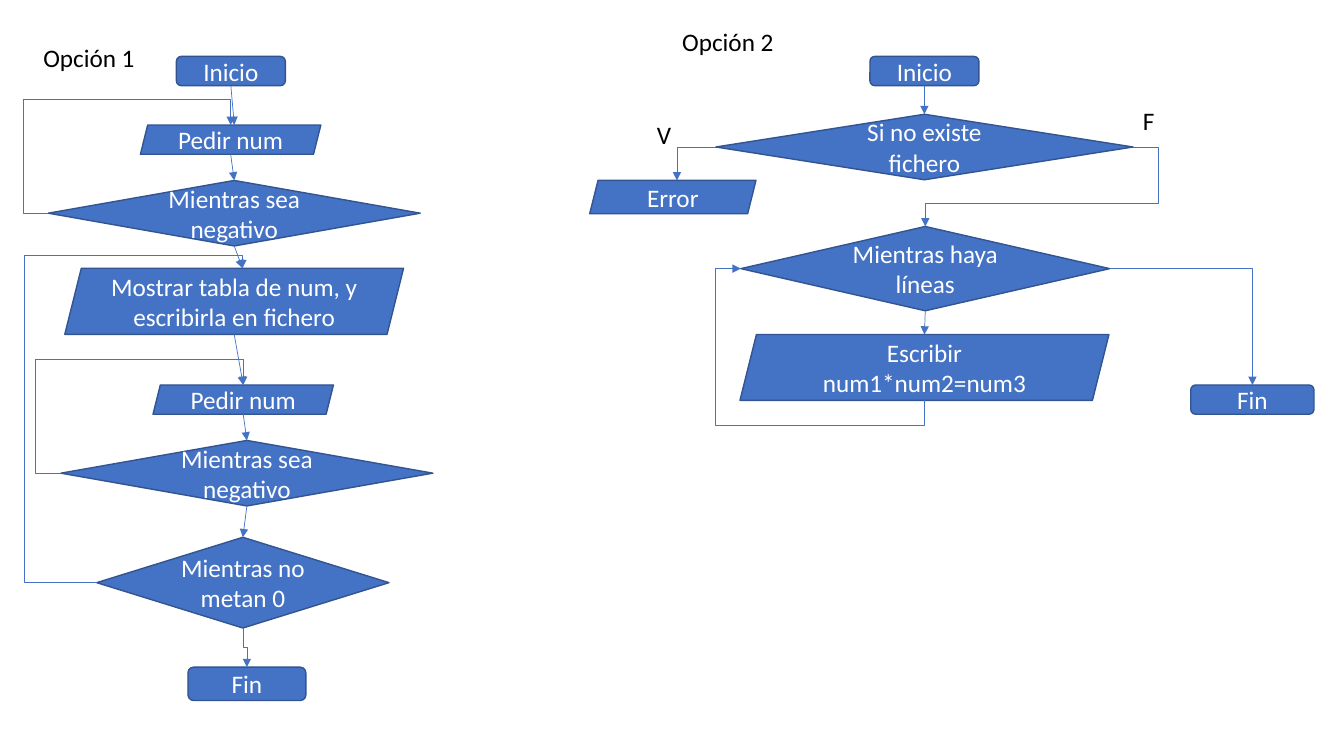
from dataclasses import dataclass

from lxml import etree
from pptx import Presentation
from pptx import util as u
from pptx.dml.color import RGBColor
from pptx.enum import shapes, text
from pptx.oxml import ns

TOP, LEFT, BOTTOM, RIGHT = range(4)
TERMINAL = shapes.MSO_SHAPE.ROUNDED_RECTANGLE
DATA = shapes.MSO_SHAPE.PARALLELOGRAM
DECISION = shapes.MSO_SHAPE.DIAMOND
LOOP_GAP = u.Pt(18)


@dataclass(frozen=True)
class Theme:
    """Colours and type sizes of the slide."""
    fill: RGBColor = RGBColor(0x44, 0x72, 0xC4)
    edge: RGBColor = RGBColor(0x32, 0x54, 0x91)
    light: RGBColor = RGBColor(0xFF, 0xFF, 0xFF)
    dark: RGBColor = RGBColor(0, 0, 0)
    font: str = "Calibri"
    size: int = 18


THEME = Theme()


def write(frame, words, color, align):
    """Put one formatted paragraph in a text frame."""
    para = frame.paragraphs[0]
    para.text = words
    para.alignment = align
    para.font.name = THEME.font
    para.font.size = u.Pt(THEME.size)
    para.font.color.rgb = color


def add_node(slide, box, kind, words, left, top, width, height):
    """Draw a flowchart step placed relative to its region."""
    node = slide.shapes.add_shape(
        kind, u.Pt(box[0] + left), u.Pt(box[1] + top), u.Pt(width), u.Pt(height))
    node.shadow.inherit = False
    node.fill.solid()
    node.fill.fore_color.rgb = THEME.fill
    node.line.color.rgb = THEME.edge
    node.line.width = u.Pt(1)
    node.text_frame.word_wrap = True
    node.text_frame.vertical_anchor = text.MSO_ANCHOR.MIDDLE
    write(node.text_frame, words, THEME.light, text.PP_ALIGN.CENTER)
    return node


def add_label(slide, box, words, left, top, width):
    """Draw a free label placed relative to its region."""
    label = slide.shapes.add_textbox(
        u.Pt(box[0] + left), u.Pt(box[1] + top), u.Pt(width), u.Pt(29))
    label.text_frame.word_wrap = False
    label.text_frame.auto_size = text.MSO_AUTO_SIZE.SHAPE_TO_FIT_TEXT
    write(label.text_frame, words, THEME.dark, text.PP_ALIGN.LEFT)


def side_point(node, side):
    """Return the middle of one side of a step."""
    across = {LEFT: 0, RIGHT: node.width}.get(side, node.width // 2)
    down = {TOP: 0, BOTTOM: node.height}.get(side, node.height // 2)
    return node.left + across, node.top + down


def bend(connector, start, end, upright, lanes):
    """Route an elbow through lanes, turning it when it starts vertically."""
    geometry = connector.element.spPr.find(ns.qn("a:prstGeom"))
    geometry.set("prst", f"bentConnector{2 + len(lanes)}")
    adjustments = geometry.find(ns.qn("a:avLst"))
    for index, lane in enumerate(lanes):
        axis = (index + upright) % 2
        share = (lane - start[axis]) / (end[axis] - start[axis])
        etree.SubElement(adjustments, ns.qn("a:gd"), name=f"adj{index + 1}",
                         fmla=f"val {round(share * 100000)}")
    if upright:
        across, down = end[0] - start[0], end[1] - start[1]
        connector.width, connector.height = abs(down), abs(across)
        connector.left = (start[0] + end[0] - abs(down)) // 2
        connector.top = (start[1] + end[1] - abs(across)) // 2
        frame = connector.element.spPr.find(ns.qn("a:xfrm"))
        frame.set("rot", "5400000")
        frame.set("flipH", str(int(down < 0)))
        frame.set("flipV", str(int(across > 0)))


def link(slide, first, second, leave=BOTTOM, enter=TOP, lanes=None, slanted=False):
    """Join two steps by an arrow, straight unless lanes are given."""
    start, end = side_point(first, leave), side_point(second, enter)
    if slanted:
        end = end[0] + second.height // 8, end[1]
    kind = shapes.MSO_CONNECTOR.STRAIGHT if lanes is None else shapes.MSO_CONNECTOR.ELBOW
    connector = slide.shapes.add_connector(kind, *start, *end)
    if first.auto_shape_type != DATA:
        connector.begin_connect(first, leave)
    if second.auto_shape_type != DATA:
        connector.end_connect(second, enter)
    connector.line.color.rgb = THEME.fill
    connector.line.width = u.Pt(0.5)
    etree.SubElement(connector.line._get_or_add_ln(), ns.qn("a:tailEnd"), type="triangle")
    etree.SubElement(connector.element.spPr, ns.qn("a:effectLst"))
    if lanes is not None:
        bend(connector, start, end, leave in (TOP, BOTTOM), lanes)


def add_question(slide, box, left, top):
    """Draw the loop that asks for a number until it is not negative."""
    ask = add_node(slide, box, DATA, "Pedir num", left, top, 128.9, 20.9)
    check = add_node(slide, box, DECISION, "Mientras sea negativo",
                     left - 65.8, top + 39.6, 265.7, 46.8)
    link(slide, check, ask, LEFT, TOP, [check.left - LOOP_GAP, ask.top - LOOP_GAP])
    link(slide, ask, check)
    return ask, check


def add_first_option(slide, box):
    """Draw the flow that asks for numbers and shows their tables."""
    add_label(slide, box, "Opción 1", 23.8, 26.6, 80.6)
    begin = add_node(slide, box, TERMINAL, "Inicio", 126, 40.3, 77.8, 20.9)
    ask, check = add_question(slide, box, 100.3, 89.3)
    show = add_node(slide, box, DATA, "Mostrar tabla de num, y escribirla en fichero",
                    46.3, 191.6, 242, 47.2)
    ask_again, check_again = add_question(slide, box, 109.3, 275)
    repeat = add_node(slide, box, DECISION, "Mientras no metan 0", 69.1, 383.8, 208.8, 64.8)
    finish = add_node(slide, box, TERMINAL, "Fin", 134.3, 476.6, 84.2, 23.8)
    link(slide, begin, ask, slanted=True)
    link(slide, check, show, slanted=True)
    link(slide, show, ask_again)
    link(slide, check_again, repeat)
    link(slide, repeat, show, LEFT, TOP,
         [u.Pt(box[0] + 17.3), show.top - LOOP_GAP // 2], slanted=True)
    link(slide, repeat, finish, lanes=[(repeat.top + repeat.height + finish.top) // 2])


def add_second_option(slide, box):
    """Draw the flow that reads the file line by line."""
    add_label(slide, box, "Opción 2", 80.2, 15.1, 80.6)
    add_label(slide, box, "V", 62.2, 81.4, 25.2)
    add_label(slide, box, "F", 409.3, 72, 23)
    begin = add_node(slide, box, TERMINAL, "Inicio", 221.4, 40.3, 77.8, 20.9)
    missing = add_node(slide, box, DECISION, "Si no existe fichero", 111.3, 81.6, 298, 46.8)
    error = add_node(slide, box, DATA, "Error", 21.2, 128.9, 118.8, 23.8)
    lines = add_node(slide, box, DECISION, "Mientras haya líneas", 129.2, 161.8, 263.5, 60.2)
    output = add_node(slide, box, DATA, "Escribir num1*num2=num3", 128.6, 239, 263.5, 47)
    finish = add_node(slide, box, TERMINAL, "Fin", 450.6, 275, 88, 20.9)
    link(slide, begin, missing)
    link(slide, missing, error, LEFT, TOP, [], slanted=True)
    link(slide, missing, lines, RIGHT, TOP,
         [missing.left + missing.width + LOOP_GAP, u.Pt(box[1] + 145.6)])
    link(slide, lines, output)
    link(slide, output, lines, BOTTOM, LEFT,
         [output.top + output.height + LOOP_GAP, lines.left - LOOP_GAP])
    link(slide, lines, finish, RIGHT, TOP, [])


def main():
    """Build the slide and save it."""
    deck = Presentation()
    deck.slide_width, deck.slide_height = u.Pt(960), u.Pt(540)
    slide = deck.slides.add_slide(deck.slide_layouts[6])
    add_first_option(slide, (0, 0, 320, 540))
    add_second_option(slide, (400, 0, 560, 540))
    deck.save("out.pptx")


if __name__ == "__main__":
    main()
